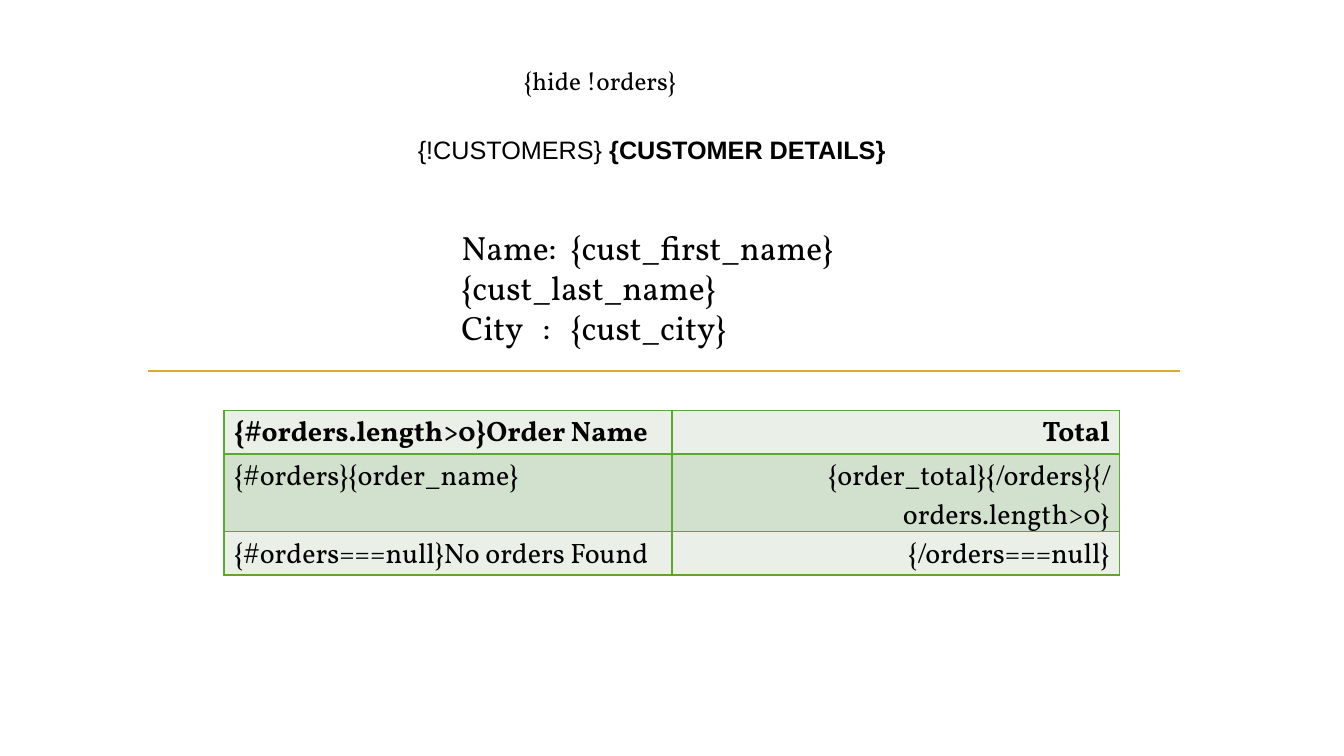
from lxml.etree import SubElement
from pptx import Presentation
from pptx.dml.color import RGBColor
from pptx.enum.shapes import MSO_CONNECTOR
from pptx.enum.text import PP_ALIGN
from pptx.oxml.ns import qn
from pptx.util import Pt

COLORS = {
    "ink": "000000",
    "gold": "DCAB34",
    "edge": "5FA534",
    "pale": "EAF0E8",
    "sage": "D2E1CE",
}
SERIF = "Vollkorn"
ORDERS = [
    ("{#orders.length>0}Order Name", "Total"),
    ("{#orders}{order_name}", "{order_total}{/orders}{/orders.length>0}"),
    ("{#orders===null}No orders Found", "{/orders===null}"),
]


def color(name):
    return RGBColor.from_string(COLORS[name])


def style(para, size, face=SERIF):
    font = para.font
    font.name = face
    font.size = Pt(size)
    font.color.rgb = color("ink")


def add_box(slide, left, top, width, height, wrap=True):
    box = slide.shapes.add_textbox(Pt(left), Pt(top), Pt(width), Pt(height))
    frame = box.text_frame
    frame.word_wrap = wrap
    return frame


def add_title(slide):
    frame = add_box(slide, 253.5, 88.5, 424, 53.3)
    frame.margin_top = frame.margin_bottom = Pt(7.2)
    para = frame.paragraphs[0]
    para.alignment = PP_ALIGN.CENTER
    para.add_run().text = "{!CUSTOMERS} "
    label = para.add_run()
    label.text = "{CUSTOMER DETAILS}"
    label.font.bold = True
    style(para, 18, "Arial")


def set_tabs(para, stops):
    tabs = SubElement(para._p.get_or_add_pPr(), qn("a:tabLst"))
    for stop in stops:
        SubElement(tabs, qn("a:tab"), pos=str(Pt(stop)), algn="l")


def add_fields(slide):
    frame = add_box(slide, 322.5, 158.4, 337, 94.3)
    name = frame.paragraphs[0]
    name.text = "Name:\t{cust_first_name} {cust_last_name}"
    set_tabs(name, [78])
    city = frame.add_paragraph()
    city.text = "City\t:\t{cust_city}"
    set_tabs(city, [58, 78])
    for para in frame.paragraphs:
        style(para, 24)


def add_rule(slide):
    rule = slide.shapes.add_connector(
        MSO_CONNECTOR.STRAIGHT, Pt(106), Pt(265), Pt(843), Pt(265))
    rule.line.color.rgb = color("gold")
    rule.line.width = Pt(1.75)
    SubElement(rule._element.spPr, qn("a:effectLst"))


def add_hint(slide):
    frame = add_box(slide, 367.2, 43.2, 123.8, 28.8, wrap=False)
    para = frame.paragraphs[0]
    para.text = "{hide !orders}"
    style(para, 18)


def add_edges(cell):
    props = cell._tc.get_or_add_tcPr()
    for side in ("lnL", "lnR", "lnT", "lnB"):
        line = SubElement(props, qn("a:" + side), w=str(Pt(1)))
        fill = SubElement(line, qn("a:solidFill"))
        SubElement(fill, qn("a:srgbClr"), val=COLORS["edge"])


def add_orders(slide):
    shape = slide.shapes.add_table(
        3, 2, Pt(160), Pt(293), Pt(640), Pt(87.6))
    table = shape.table
    for row, texts in enumerate(ORDERS):
        for col, text in enumerate(texts):
            cell = table.cell(row, col)
            add_edges(cell)
            cell.fill.solid()
            cell.fill.fore_color.rgb = color("sage" if row == 1 else "pale")
            para = cell.text_frame.paragraphs[0]
            para.text = text
            para.alignment = PP_ALIGN.RIGHT if col else PP_ALIGN.LEFT
            style(para, 20)
            para.font.bold = row == 0


def main():
    deck = Presentation()
    deck.slide_width = Pt(960)
    deck.slide_height = Pt(540)
    slide = deck.slides.add_slide(deck.slide_layouts[6])
    add_title(slide)
    add_fields(slide)
    add_rule(slide)
    add_hint(slide)
    add_orders(slide)
    deck.save("out.pptx")


if __name__ == "__main__":
    main()
